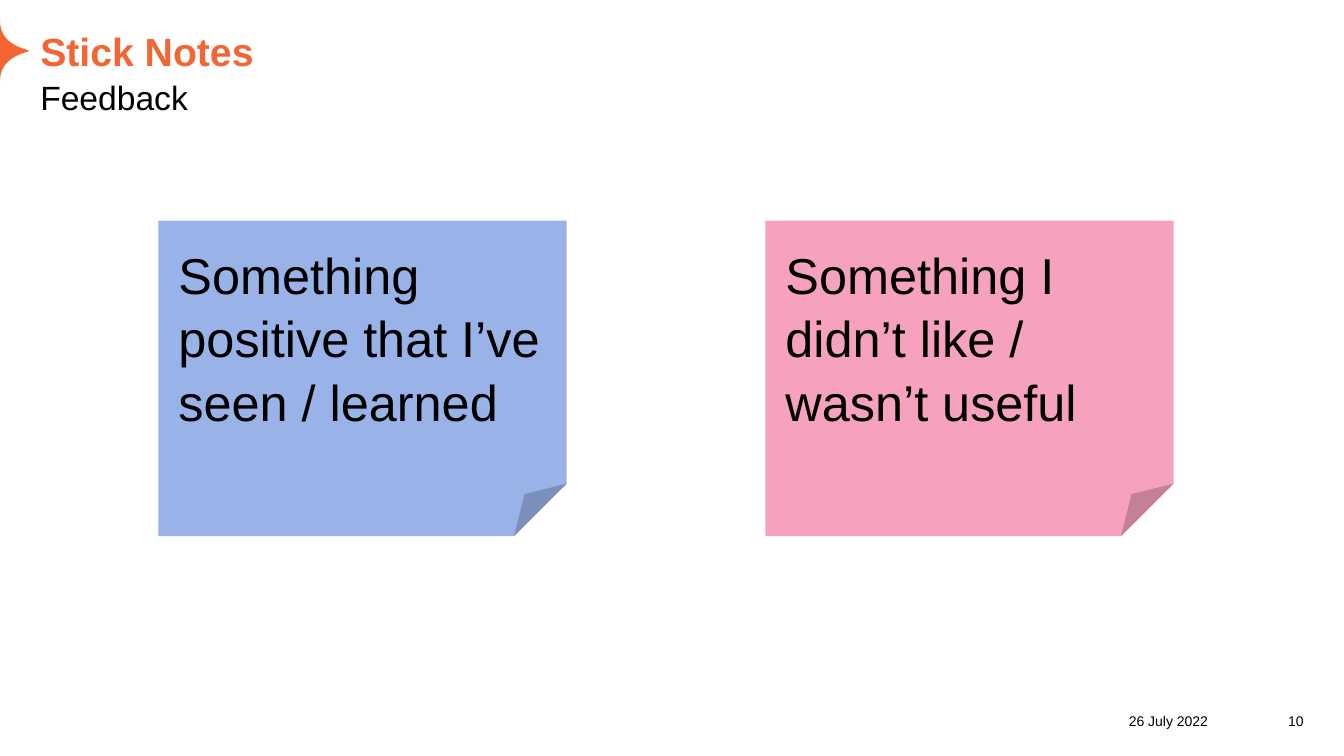
"""Build the sticky notes feedback slide."""
from dataclasses import dataclass

from pptx import Presentation
from pptx.dml.color import RGBColor
from pptx.enum.shapes import MSO_SHAPE
from pptx.enum.text import MSO_ANCHOR, PP_ALIGN
from pptx.slide import Slide
from pptx.text.text import TextFrame
from pptx.util import Inches, Pt

FOLD = MSO_SHAPE.FOLDED_CORNER
TOP, BOTTOM = MSO_ANCHOR.TOP, MSO_ANCHOR.BOTTOM
LEFT, RIGHT = PP_ALIGN.LEFT, PP_ALIGN.RIGHT


@dataclass(frozen=True)
class Theme:
    font: str = "Arial"
    accent: str = "F36633"
    ink: str = "000000"
    blue: str = "99B3E8"
    pink: str = "F5A1BF"
    title: int = 28
    sub: int = 24
    note: int = 36
    foot: int = 10


@dataclass(frozen=True)
class Label:
    text: str
    left: float
    top: float
    width: float
    height: float
    size: int
    color: str
    anchor: MSO_ANCHOR = BOTTOM
    align: PP_ALIGN = LEFT
    bold: bool = False


@dataclass(frozen=True)
class Note:
    text: str
    left: float
    fill: str


THEME = Theme()
LABELS = (
    Label("10", 12.34, 6.94, 0.59, 0.3, THEME.foot, THEME.ink, align=RIGHT),
    Label("26 July 2022", 8.94, 6.94, 3.04, 0.3, THEME.foot, THEME.ink, align=RIGHT),
    Label("Stick Notes", 0.4, 0.27, 12.53, 0.47, THEME.title, THEME.accent, bold=True),
    Label("Feedback", 0.4, 0.76, 12.53, 0.39, THEME.sub, THEME.ink, anchor=TOP),
)
NOTES = (
    Note("Something positive that I’ve seen / learned", 1.57, THEME.blue),
    Note("Something I didn’t like / wasn’t useful", 7.59, THEME.pink),
)
STAR_TOP, STAR_MID = 0.2, 0.505
STAR_CURVE = ((0, 0.2), (0, 0.36), (0.1, 0.45), (0.285, 0.5))
STEPS = 16
UNITS = 1000


def write(frame: TextFrame, text: str, inset: float, anchor: MSO_ANCHOR,
          align: PP_ALIGN, size: int, color: str, bold: bool = False) -> None:
    """Fill a text frame with one styled paragraph."""
    frame.word_wrap = True
    frame.vertical_anchor = anchor
    frame.margin_left = frame.margin_right = Inches(inset)
    frame.margin_top = frame.margin_bottom = Inches(inset)
    frame.text = text
    line = frame.paragraphs[0]
    line.alignment = align
    font = line.runs[0].font
    font.name, font.size, font.bold = THEME.font, Pt(size), bold
    font.color.rgb = RGBColor.from_string(color)


def add_label(slide: Slide, label: Label) -> None:
    """Add a plain text box."""
    box = slide.shapes.add_textbox(Inches(label.left), Inches(label.top),
                                   Inches(label.width), Inches(label.height))
    write(box.text_frame, label.text, 0, label.anchor, label.align,
          label.size, label.color, label.bold)


def paint(shape, color: str) -> None:
    """Give a shape a flat fill without line or shadow."""
    shape.shadow.inherit = False
    shape.fill.solid()
    shape.fill.fore_color.rgb = RGBColor.from_string(color)
    shape.line.fill.background()


def add_note(slide: Slide, note: Note) -> None:
    """Add a sticky note with a folded corner."""
    card = slide.shapes.add_shape(FOLD, Inches(note.left), Inches(2.19),
                                  Inches(4.05), Inches(3.13))
    paint(card, note.fill)
    write(card.text_frame, note.text, 0.2, TOP, LEFT, THEME.note, THEME.ink)
    line = card.text_frame.paragraphs[0]
    line.line_spacing = 1.05
    line.space_after = Pt(3)


def curve_point(t: float) -> tuple[float, float]:
    """Return the point of the star's upper curve at t."""
    parts = ((1 - t) ** 3, 3 * t * (1 - t) ** 2, 3 * t ** 2 * (1 - t), t ** 3)
    x, y = (sum(p * c for p, c in zip(parts, axis)) for axis in zip(*STAR_CURVE))
    return x * UNITS, y * UNITS


def add_star(slide: Slide) -> None:
    """Add the half star at the left edge."""
    upper = [curve_point(i / STEPS) for i in range(STEPS + 1)]
    lower = [(x, 2 * STAR_MID * UNITS - y) for x, y in reversed(upper)]
    pen = slide.shapes.build_freeform(0, STAR_TOP * UNITS, scale=Inches(1) / UNITS)
    pen.add_line_segments(upper[1:] + lower, close=True)
    paint(pen.convert_to_shape(), THEME.accent)


def main() -> None:
    """Draw and save the slide."""
    deck = Presentation()
    deck.slide_width, deck.slide_height = Inches(13.33), Inches(7.5)
    slide = deck.slides.add_slide(deck.slide_layouts[6])
    add_star(slide)
    for label in LABELS:
        add_label(slide, label)
    for note in NOTES:
        add_note(slide, note)
    deck.save("out.pptx")


if __name__ == "__main__":
    main()
